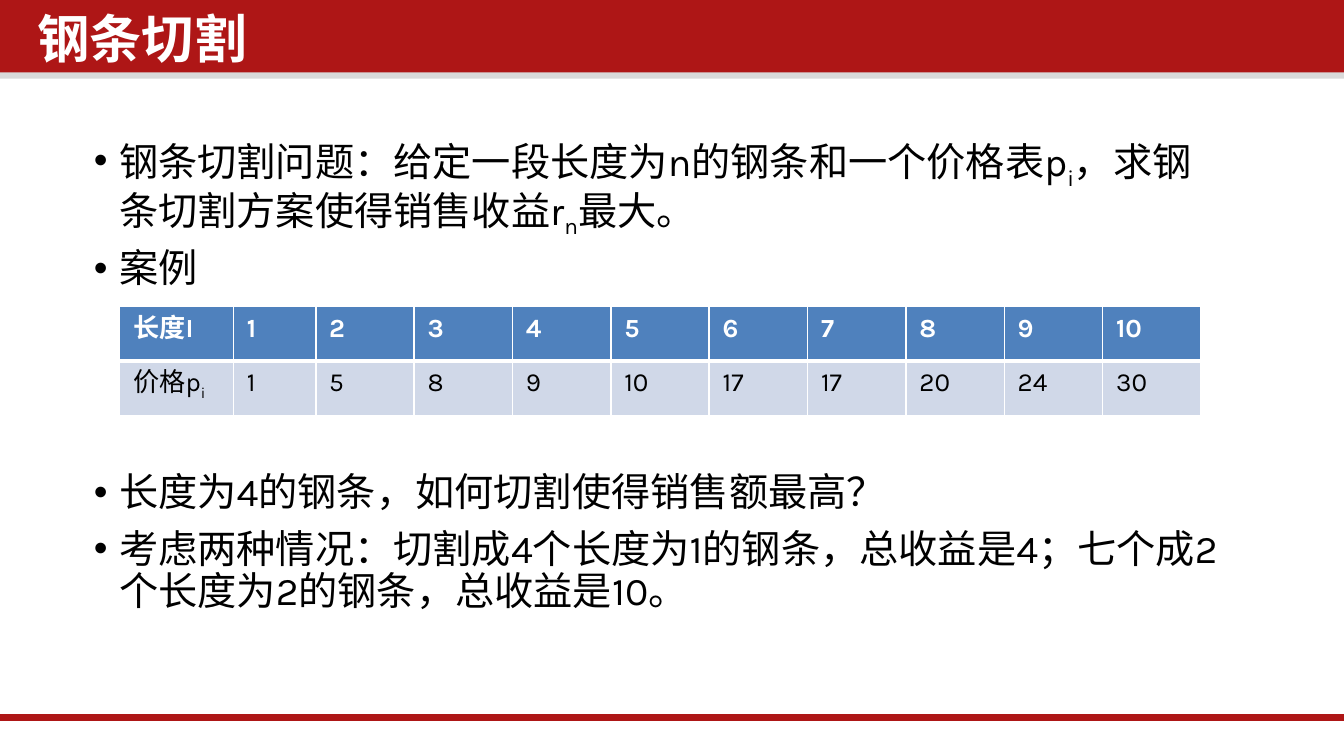
from lxml.etree import SubElement
from pptx import Presentation
from pptx.dml.color import RGBColor
from pptx.enum.shapes import MSO_CONNECTOR, MSO_SHAPE
from pptx.enum.text import MSO_ANCHOR
from pptx.oxml.ns import qn
from pptx.util import Pt

RED = RGBColor(0xAE, 0x16, 0x16)
GREY = RGBColor(0xD9, 0xD9, 0xD9)
BLUE = RGBColor(0x4F, 0x81, 0xBD)
PALE = RGBColor(0xD0, 0xD8, 0xE8)
WHITE = RGBColor(0xFF, 0xFF, 0xFF)
BLACK = RGBColor(0, 0, 0)

TITLE_FONT = "Noto Sans CJK SC"
BODY_FONT = "Karla"

LENGTHS = ["长度I", *(str(n) for n in range(1, 11))]
PRICES = ["价格p_i", "1", "5", "8", "9", "10", "17", "17", "20", "24", "30"]

# Each bullet with its space before; "_" puts the next letter in subscript.
BULLETS = [
    ("钢条切割问题：给定一段长度为n的钢条和一个价格表p_i，求钢条切割方案使得销售收益r_n最大。", 7.5),
    ("案例", 7.5),
    ("长度为4的钢条，如何切割使得销售额最高？", 97.5),
    ("考虑两种情况：切割成4个长度为1的钢条，总收益是4；七个成2个长度为2的钢条，总收益是10。", 7.5),
]


def set_format(target, values):
    for name, value in values.items():
        setattr(target, name, value)


class SlideBuilder:
    def __init__(self, prs):
        self.s = prs.slides.add_slide(prs.slide_layouts[5])

    def run(self, p, text, font, size, color, bold=False, subscript=False):
        r = p.add_run()
        r.text = text
        set_format(r.font, {"name": font, "size": Pt(size), "bold": bold})
        r.font.color.rgb = color
        rPr = r.font._element
        SubElement(rPr, qn("a:ea"), typeface=font)
        if subscript:
            rPr.set("baseline", "-25000")

    def rich_text(self, p, text, size, color, bold=False):
        """Write text in which "_" marks the next letter as subscript."""
        first, *rest = text.split("_")
        self.run(p, first, BODY_FONT, size, color, bold)
        for part in rest:
            self.run(p, part[0], BODY_FONT, size, color, bold, True)
            if part[1:]:
                self.run(p, part[1:], BODY_FONT, size, color, bold)

    def bar(self, left, top, width, height, color):
        sp = self.s.shapes.add_shape(
            MSO_SHAPE.RECTANGLE, Pt(left), Pt(top), Pt(width), Pt(height))
        sp.shadow.inherit = False
        sp.fill.solid()
        sp.fill.fore_color.rgb = color
        sp.line.fill.background()

    def rule(self, left, right, y, color, width):
        line = self.s.shapes.add_connector(
            MSO_CONNECTOR.STRAIGHT, Pt(left), Pt(y), Pt(right), Pt(y))
        line.line.color.rgb = color
        line.line.width = Pt(width)
        SubElement(line._element.spPr, qn("a:effectLst"))

    def title(self, text, left, top, width, height):
        sp = self.s.shapes.title
        set_format(sp, {"left": Pt(left), "top": Pt(top),
                        "width": Pt(width), "height": Pt(height)})
        # Bring the title in front of the bars.
        self.s.shapes._spTree.append(sp._element)
        tf = sp.text_frame
        set_format(tf, {"margin_left": Pt(5), "margin_right": Pt(5),
                        "margin_top": Pt(2.7), "margin_bottom": Pt(2.7),
                        "vertical_anchor": MSO_ANCHOR.TOP, "word_wrap": True})
        p = tf.paragraphs[0]
        p.line_spacing = 0.9
        p._p.get_or_add_pPr().set("algn", "l")
        self.run(p, text, TITLE_FONT, 28, WHITE, True)

    def bullets(self, items, left, top, width, height):
        tf = self.s.shapes.add_textbox(
            Pt(left), Pt(top), Pt(width), Pt(height)).text_frame
        tf.word_wrap = True
        for i, (text, gap) in enumerate(items):
            p = tf.add_paragraph() if i else tf.paragraphs[0]
            set_format(p, {"line_spacing": 0.9, "space_before": Pt(gap)})
            pPr = p._p.get_or_add_pPr()
            pPr.set("marL", str(Pt(13.5)))
            pPr.set("indent", str(-Pt(13.5)))
            SubElement(pPr, qn("a:buFont"), typeface="Arial")
            SubElement(pPr, qn("a:buChar"), char="•")
            self.rich_text(p, text, 21, BLACK)

    def borders(self, cell, bottom):
        tcPr = cell._tc.get_or_add_tcPr()
        for side, width in {"L": 1, "R": 1, "T": 1, "B": bottom}.items():
            ln = SubElement(tcPr, qn(f"a:ln{side}"), w=str(Pt(width)))
            fill = SubElement(ln, qn("a:solidFill"))
            SubElement(fill, qn("a:srgbClr"), val=str(WHITE))

    def table(self, rows, left, top, widths, row_height):
        table = self.s.shapes.add_table(
            len(rows), len(widths), Pt(left), Pt(top),
            Pt(sum(widths)), Pt(row_height * len(rows))).table
        for column, width in zip(table.columns, widths):
            column.width = Pt(width)
        for i, row in enumerate(rows):
            header = i == 0
            for j, text in enumerate(row):
                cell = table.cell(i, j)
                self.borders(cell, 3 if header else 1)
                cell.fill.solid()
                cell.fill.fore_color.rgb = BLUE if header else PALE
                self.rich_text(cell.text_frame.paragraphs[0], text, 14,
                               WHITE if header else BLACK, header)


def main():
    prs = Presentation()
    set_format(prs, {"slide_width": Pt(720), "slide_height": Pt(405)})
    slide = SlideBuilder(prs)
    slide.bar(0, 36, 720, 6.2, GREY)
    slide.bar(0, 0, 720, 38.8, RED)
    slide.rule(-1.5, 720, 384.5, RED, 4)
    slide.title("钢条切割", 15.1, 4.3, 550, 42.5)
    slide.bullets(BULLETS, 43.2, 70.6, 620.6, 274.3)
    slide.table([LENGTHS, PRICES], 64.1, 164.2,
                [61, 44.1] + [52.7] * 9, 29.2)
    prs.save("out.pptx")


if __name__ == "__main__":
    main()
